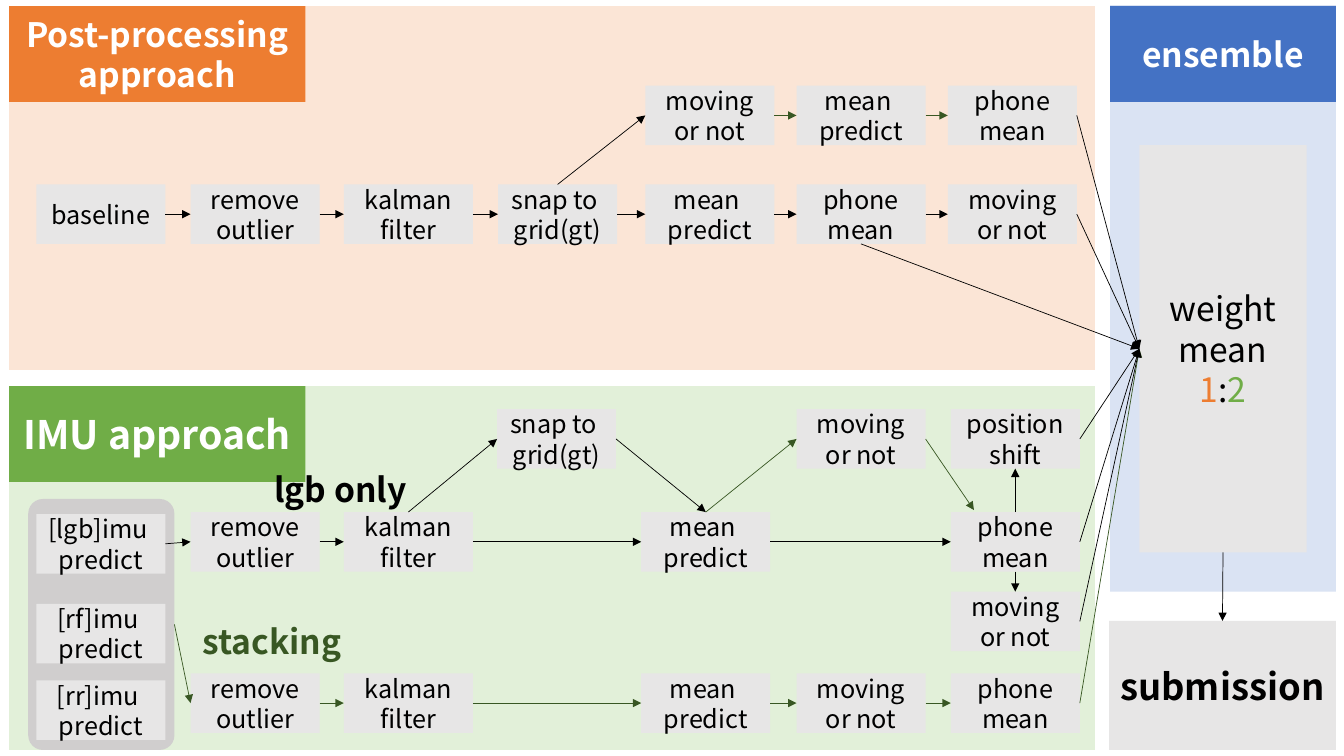
import pptx
import pptx.util
import pptx.dml.color
import pptx.enum.shapes
import pptx.enum.text
import pptx.oxml
import pptx.oxml.ns

Inches, Pt = pptx.util.Inches, pptx.util.Pt
RGB = pptx.dml.color.RGBColor
SHAPES = pptx.enum.shapes.MSO_SHAPE
FONT = "Noto Sans CJK JP"

BLACK, WHITE = RGB(0, 0, 0), RGB(255, 255, 255)
GREY, DARK_GREY = RGB(0xE7, 0xE6, 0xE6), RGB(0xD0, 0xCE, 0xCE)
ORANGE, PALE_ORANGE = RGB(0xED, 0x7D, 0x31), RGB(0xFB, 0xE5, 0xD6)
GREEN, PALE_GREEN = RGB(0x70, 0xAD, 0x47), RGB(0xE2, 0xF0, 0xD9)
BLUE, PALE_BLUE = RGB(0x44, 0x72, 0xC4), RGB(0xDA, 0xE3, 0xF3)
DARK_GREEN = RGB(0x38, 0x57, 0x23)

# Areas: left, top, width, height, fill
AREAS = [
    (11.01, 0.05, 2.24, 5.82, PALE_BLUE),
    (0.09, 3.83, 10.77, 3.61, PALE_GREEN),
    (0.09, 0.06, 10.77, 3.61, PALE_ORANGE),
]
# Headings: text, left, top, width, height, fill, size, colour
HEADINGS = [
    ("IMU approach", 0.09, 3.83, 2.94, 0.95, GREEN, 28, WHITE),
    ("Post-processing approach", 0.09, 0.06, 2.94, 0.95, ORANGE, 24, WHITE),
    ("ensemble", 11.01, 0.06, 2.24, 0.95, BLUE, 24, WHITE),
    ("lgb only", 2.55, 4.56, 1.65, 0.59, None, 24, BLACK),
    ("stacking", 1.81, 6.06, 1.77, 0.59, None, 24, DARK_GREEN),
]

# Steps: each row has a top, its column positions and {step: (column, label)}
STEP_WIDTH, SNAP_WIDTH, STEP_HEIGHT = 1.28, 1.18, 0.59
SNAP_COLUMN = 3
POST_COLUMNS = [0.36, 1.89, 3.41, 4.94, 6.4, 7.9, 9.4]
IMU_COLUMNS = [0.36, 1.89, 3.41, 4.93, 6.36, 7.9, 9.43]
REMOVE, KALMAN, SNAP = "remove\noutlier", "kalman\nfilter", "snap to \ngrid(gt)"
MEAN, PHONE, MOVING = "mean \npredict", "phone\nmean", "moving\nor not"
ROWS = [
    (0.85, POST_COLUMNS, {"up moving": (4, MOVING), "up mean": (5, MEAN),
                          "up phone": (6, PHONE)}),
    (1.83, POST_COLUMNS, {"baseline": (0, "baseline"), "post remove": (1, REMOVE),
                          "post kalman": (2, KALMAN), "post snap": (3, SNAP),
                          "post mean": (4, MEAN), "post phone": (5, PHONE),
                          "post moving": (6, MOVING)}),
    (4.06, IMU_COLUMNS, {"lgb snap": (3, SNAP), "lgb moving": (5, MOVING),
                         "shift": (6, "position\nshift")}),
    (5.08, IMU_COLUMNS, {"lgb remove": (1, REMOVE), "lgb kalman": (2, KALMAN),
                         "lgb mean": (4, MEAN), "lgb phone": (6, PHONE)}),
    (5.1, IMU_COLUMNS, {"lgb": (0, "[lgb]imu \npredict")}),
    (5.87, IMU_COLUMNS, {"last moving": (6, MOVING)}),
    (5.99, IMU_COLUMNS, {"rf": (0, "[rf]imu \npredict")}),
    (6.68, IMU_COLUMNS, {"stack remove": (1, REMOVE), "stack kalman": (2, KALMAN),
                         "stack mean": (4, MEAN), "stack moving": (5, MOVING),
                         "stack phone": (6, PHONE)}),
    (6.75, IMU_COLUMNS, {"rr": (0, "[rr]imu \npredict")}),
]

# Straight runs of steps joined right side to left side
CHAINS = [
    (BLACK, ["baseline", "post remove", "post kalman", "post snap", "post mean",
             "post phone", "post moving", "weight"]),
    (DARK_GREEN, ["up moving", "up mean", "up phone"]),
    (BLACK, ["up phone", "weight"]),
    (BLACK, ["lgb", "lgb remove", "lgb kalman", "lgb mean", "lgb phone", "weight"]),
    (DARK_GREEN, ["models", "stack remove", "stack kalman", "stack mean",
                  "stack moving", "stack phone", "weight"]),
    (BLACK, ["shift", "weight"]),
    (BLACK, ["last moving", "weight"]),
]
# Branches: start, side, end, side, colour
TOP, LEFT, BOTTOM, RIGHT = range(4)
BRANCHES = [
    ("post snap", TOP, "up moving", LEFT, BLACK),
    ("post phone", BOTTOM, "weight", LEFT, BLACK),
    ("lgb kalman", TOP, "lgb snap", LEFT, BLACK),
    ("lgb snap", RIGHT, "lgb mean", TOP, BLACK),
    ("lgb mean", TOP, "lgb moving", LEFT, DARK_GREEN),
    ("lgb phone", TOP, "shift", BOTTOM, BLACK),
    ("lgb phone", BOTTOM, "last moving", TOP, BLACK),
    ("weight", BOTTOM, "submission", TOP, BLACK),
]
PHONE_ENTRY = (9.66, 5.06)

deck = pptx.Presentation()
deck.slide_width, deck.slide_height = Inches(13.33), Inches(7.5)
slide = deck.slides.add_slide(deck.slide_layouts[6])


def write(box, text, size, colour, bold=False):
    frame = box.text_frame
    frame.text = text
    frame.word_wrap = True
    frame.vertical_anchor = pptx.enum.text.MSO_ANCHOR.MIDDLE
    frame.margin_left = frame.margin_right = 0
    for paragraph in frame.paragraphs:
        paragraph.alignment = pptx.enum.text.PP_ALIGN.CENTER
        for run in paragraph.runs:
            style(run, size, colour, bold)


def style(run, size, colour, bold=False):
    run.font.name, run.font.size, run.font.bold = FONT, Pt(size), bold
    run.font.color.rgb = colour
    east_asian = pptx.oxml.parse_xml(
        f'<a:ea {pptx.oxml.ns.nsdecls("a")} typeface="{FONT}"/>')
    run.font._element.find(pptx.oxml.ns.qn("a:latin")).addnext(east_asian)


def block(left, top, width, height, fill, kind=SHAPES.RECTANGLE):
    shape = slide.shapes.add_shape(kind, *map(Inches, (left, top, width, height)))
    shape.shadow.inherit = False
    shape.fill.solid()
    shape.fill.fore_color.rgb = fill
    shape.line.fill.background()
    return shape


def arrow(start, start_side, end, end_side, colour, tip=(0, 0)):
    line = slide.shapes.add_connector(
        pptx.enum.shapes.MSO_CONNECTOR.STRAIGHT, 0, 0, *map(Inches, tip))
    line.begin_connect(steps[start], start_side)
    if end:
        line.end_connect(steps[end], end_side)
    line.line.color.rgb = colour
    line.line.width = Pt(0.5)
    namespace = pptx.oxml.ns.nsdecls("a")
    line.line._get_or_add_ln().append(
        pptx.oxml.parse_xml(f'<a:tailEnd {namespace} type="triangle"/>'))
    line._element.spPr.append(pptx.oxml.parse_xml(f"<a:effectLst {namespace}/>"))


# Areas and the grey group of models
for area in AREAS:
    block(*area)
steps = {"models": block(0.28, 4.95, 1.45, 2.49, DARK_GREY, SHAPES.ROUNDED_RECTANGLE)}
steps["models"].adjustments[0] = 0.1

# Headings and labels
for text, left, top, width, height, fill, size, colour in HEADINGS:
    if fill is None:
        heading = slide.shapes.add_textbox(*map(Inches, (left, top, width, height)))
    else:
        heading = block(left, top, width, height, fill)
    write(heading, text, size, colour, bold=True)

# Steps
for top, columns, row in ROWS:
    for step, (column, label) in row.items():
        width = SNAP_WIDTH if column == SNAP_COLUMN else STEP_WIDTH
        steps[step] = block(columns[column], top, width, STEP_HEIGHT, GREY)
        write(steps[step], label, 18, BLACK)

# Weighted mean and submission
steps["weight"] = block(11.3, 1.44, 1.66, 4.04, GREY)
write(steps["weight"], "weight\nmean\n", 24, BLACK)
ratio = steps["weight"].text_frame.paragraphs[-1]
for part, colour in [("1", ORANGE), (":", BLACK), ("2", GREEN)]:
    run = ratio.add_run()
    run.text = part
    style(run, 24, colour)
steps["submission"] = block(11, 6.16, 2.25, 1.28, GREY)
write(steps["submission"], "submission", 26, BLACK, bold=True)

# Arrows
for colour, chain in CHAINS:
    for start, end in zip(chain, chain[1:]):
        arrow(start, RIGHT, end, LEFT, colour)
for branch in BRANCHES:
    arrow(*branch)
arrow("lgb moving", RIGHT, None, None, DARK_GREEN, PHONE_ENTRY)

deck.save("out.pptx")
